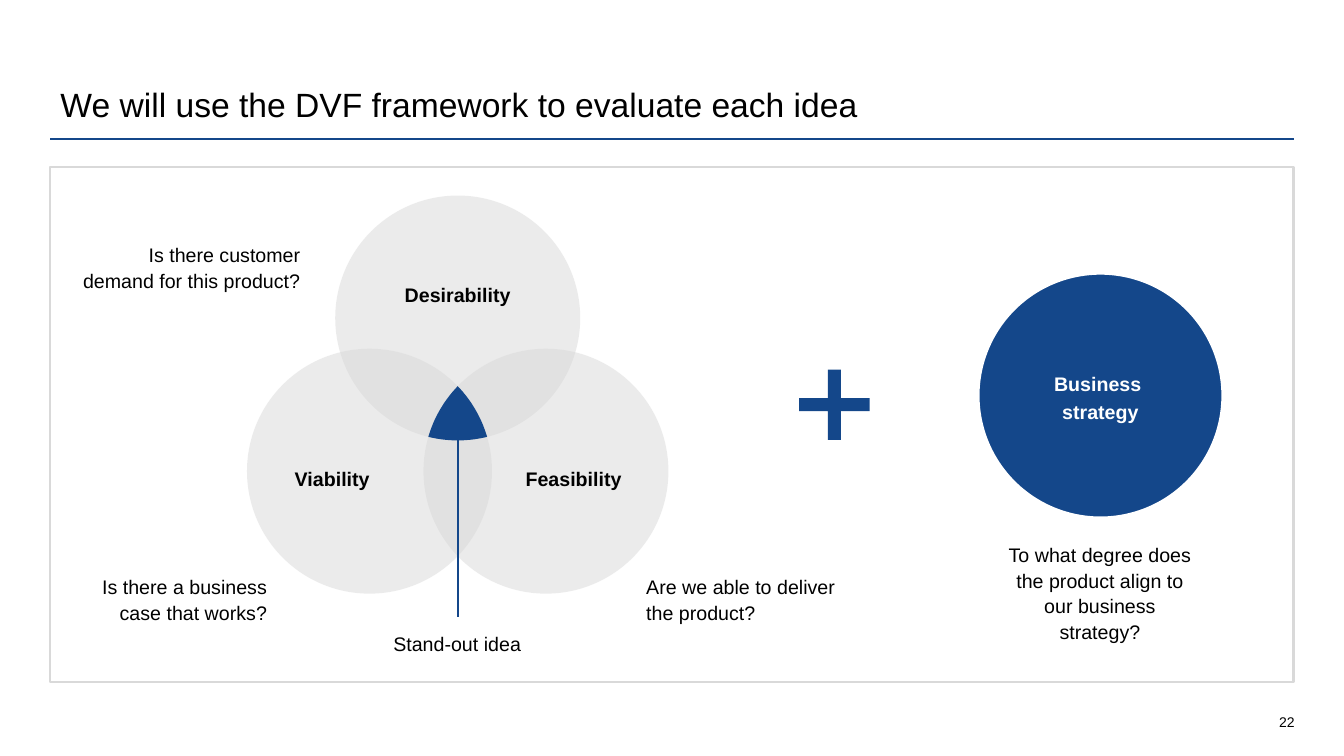
import math

from lxml import etree
from pptx import Presentation
from pptx.dml.color import RGBColor
from pptx.enum.shapes import MSO_CONNECTOR, MSO_SHAPE
from pptx.enum.text import MSO_ANCHOR, MSO_AUTO_SIZE, PP_ALIGN
from pptx.oxml.ns import qn
from pptx.util import Inches, Pt

STRAIGHT = MSO_CONNECTOR.STRAIGHT
RECTANGLE, OVAL, PLUS = MSO_SHAPE.RECTANGLE, MSO_SHAPE.OVAL, MSO_SHAPE.MATH_PLUS
TOP, MIDDLE, BOTTOM = MSO_ANCHOR.TOP, MSO_ANCHOR.MIDDLE, MSO_ANCHOR.BOTTOM
LEFT, CENTER, RIGHT = PP_ALIGN.LEFT, PP_ALIGN.CENTER, PP_ALIGN.RIGHT
NO_AUTOFIT = MSO_AUTO_SIZE.NONE
TITLE_ONLY = 5

COLORS = {"blue": "14478A", "grey": "D9D9D9", "black": "000000", "white": "FFFFFF"}
FONT = "Arial"

RADIUS = 1.215
DESIRABILITY = (4.54, 3.155)
FEASIBILITY = (5.415, 4.675)
VIABILITY = (3.665, 4.675)

LABELS = [
    ("Viability", 2.92, 4.6, 0.75),
    ("Feasibility", 5.21, 4.6, 0.96),
    ("Desirability", 4.01, 2.77, 1.06),
]
QUESTIONS = [
    ("Are we able to deliver the product?", 6.41, 5.68, 1.94, 0.5, LEFT),
    ("Is there customer demand for this product?", 0.79, 2.39, 2.19, 0.5, RIGHT),
    ("Is there a business case that works?", 0.79, 5.68, 1.86, 0.5, RIGHT),
    ("To what degree does the product align to our business strategy?",
     9.96, 5.36, 1.9, 1.03, CENTER),
]


def rgb(name):
    return RGBColor.from_string(COLORS[name])


def arc(center, start, end, steps=24):
    """Points on a Venn circle, from the start point to the end point."""
    first, last = (math.atan2(y - center[1], x - center[0]) for x, y in (start, end))
    angles = [first + (last - first) * step / steps for step in range(steps + 1)]
    return [(center[0] + RADIUS * math.cos(angle), center[1] + RADIUS * math.sin(angle))
            for angle in angles]


def inner_crossing(one, other, third):
    """The crossing of two Venn circles that lies nearer to the third center."""
    half = math.dist(one, other) / 2
    middle = ((one[0] + other[0]) / 2, (one[1] + other[1]) / 2)
    reach = math.sqrt(RADIUS ** 2 - half ** 2) / (2 * half)
    offset = ((one[1] - other[1]) * reach, (other[0] - one[0]) * reach)
    points = [(middle[0] + sign * offset[0], middle[1] + sign * offset[1])
              for sign in (1, -1)]
    return min(points, key=lambda point: math.dist(point, third))


class SlideBuilder:
    def __init__(self, presentation):
        self.slide = presentation.slides.add_slide(presentation.slide_layouts[TITLE_ONLY])
        self.shapes = self.slide.shapes

    def fill_text(self, shape, text, size=14, color="black", bold=False, align=LEFT,
                  anchor=TOP, spacing=1.0, inset=0, wrap=True):
        frame = shape.text_frame
        frame.text = text
        frame.auto_size = NO_AUTOFIT
        frame.word_wrap = wrap
        frame.vertical_anchor = anchor
        frame.margin_left = frame.margin_right = Inches(inset)
        frame.margin_top = frame.margin_bottom = Inches(inset / 2)
        for paragraph in frame.paragraphs:
            paragraph.alignment = align
            paragraph.line_spacing = spacing
            for run in paragraph.runs:
                run.font.name = FONT
                run.font.size = Pt(size)
                run.font.bold = bold
                run.font.color.rgb = rgb(color)

    def title(self, text):
        title = self.shapes.title
        title.left, title.top = Inches(0.5), Inches(0.4)
        title.width, title.height = Inches(12.33), Inches(0.89)
        self.fill_text(title, text, size=24, anchor=BOTTOM, spacing=0.9, inset=0.1)

    def text(self, text, left, top, width, height, **style):
        box = self.shapes.add_textbox(
            Inches(left), Inches(top), Inches(width), Inches(height))
        self.fill_text(box, text, **style)

    def paint(self, shape, fill=None, line=None, line_width=1.5, opacity=None):
        shape.shadow.inherit = False
        if fill:
            shape.fill.solid()
            shape.fill.fore_color.rgb = rgb(fill)
        else:
            shape.fill.background()
        if opacity:
            color = shape._element.spPr.find(qn("a:solidFill")).find(qn("a:srgbClr"))
            etree.SubElement(color, qn("a:alpha"), val=str(opacity * 1000))
        if line:
            shape.line.color.rgb = rgb(line)
            shape.line.width = Pt(line_width)
        else:
            shape.line.fill.background()

    def shape(self, kind, left, top, width, height, **style):
        shape = self.shapes.add_shape(
            kind, Inches(left), Inches(top), Inches(width), Inches(height))
        self.paint(shape, **style)
        return shape

    def circle(self, center, radius, **style):
        return self.shape(OVAL, center[0] - radius, center[1] - radius,
                          2 * radius, 2 * radius, **style)

    def line(self, start, end, width):
        connector = self.shapes.add_connector(
            STRAIGHT, *(Inches(value) for value in (*start, *end)))
        connector.line.color.rgb = rgb("blue")
        connector.line.width = Pt(width)
        etree.SubElement(connector._element.spPr, qn("a:effectLst"))

    def outline(self, points, **style):
        points = [(Inches(x), Inches(y)) for x, y in points]
        builder = self.shapes.build_freeform(*points[0])
        builder.add_line_segments(points[1:], close=True)
        self.paint(builder.convert_to_shape(), **style)


def main():
    presentation = Presentation()
    presentation.slide_width, presentation.slide_height = Inches(13.33), Inches(7.5)
    builder = SlideBuilder(presentation)

    builder.title("We will use the DVF framework to evaluate each idea")
    builder.line((0.5, 1.38), (12.83, 1.38), 1.5)
    builder.text("22", 12.2, 6.92, 0.64, 0.33, size=10, align=RIGHT, anchor=BOTTOM)
    builder.shape(RECTANGLE, 0.5, 1.66, 12.33, 5.11, line="grey")

    for center in (DESIRABILITY, FEASIBILITY, VIABILITY):
        builder.circle(center, RADIUS, fill="grey", opacity=50)
    for label, left, top, width in LABELS:
        builder.text(label, left, top, width, 0.26, bold=True, align=CENTER,
                     anchor=MIDDLE, spacing=1.2, wrap=False)
    for question, left, top, width, height, align in QUESTIONS:
        builder.text(question, left, top, width, height, align=align, spacing=1.1)

    builder.text("Stand-out idea", 3.87, 6.27, 1.33, 0.24, align=CENTER)
    builder.line((4.54, 4.34), (4.54, 6.12), 1.25)

    strategy = builder.circle((10.915, 3.925), RADIUS, fill="blue",
                              line="white", line_width=2.25)
    builder.fill_text(strategy, "Business \vstrategy", color="white", bold=True,
                      align=CENTER, anchor=MIDDLE, spacing=1.2, wrap=False)
    plus = builder.shape(PLUS, 7.8, 3.54, 0.95, 0.95, fill="blue")
    plus.adjustments[0] = 0.135

    peak = inner_crossing(VIABILITY, FEASIBILITY, DESIRABILITY)
    right = inner_crossing(DESIRABILITY, VIABILITY, FEASIBILITY)
    left = inner_crossing(DESIRABILITY, FEASIBILITY, VIABILITY)
    core = (arc(VIABILITY, peak, right) + arc(DESIRABILITY, right, left)
            + arc(FEASIBILITY, left, peak))
    builder.outline(core, fill="blue")

    presentation.save("out.pptx")


if __name__ == "__main__":
    main()
